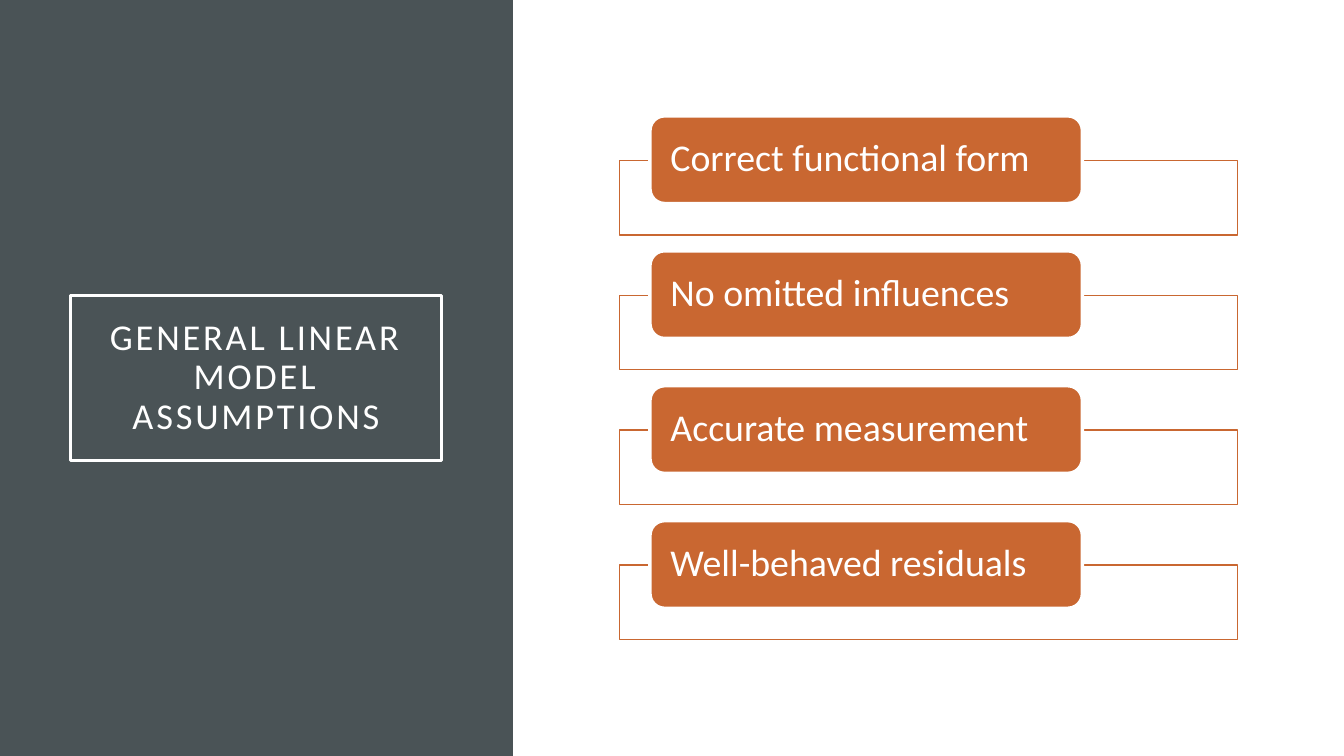
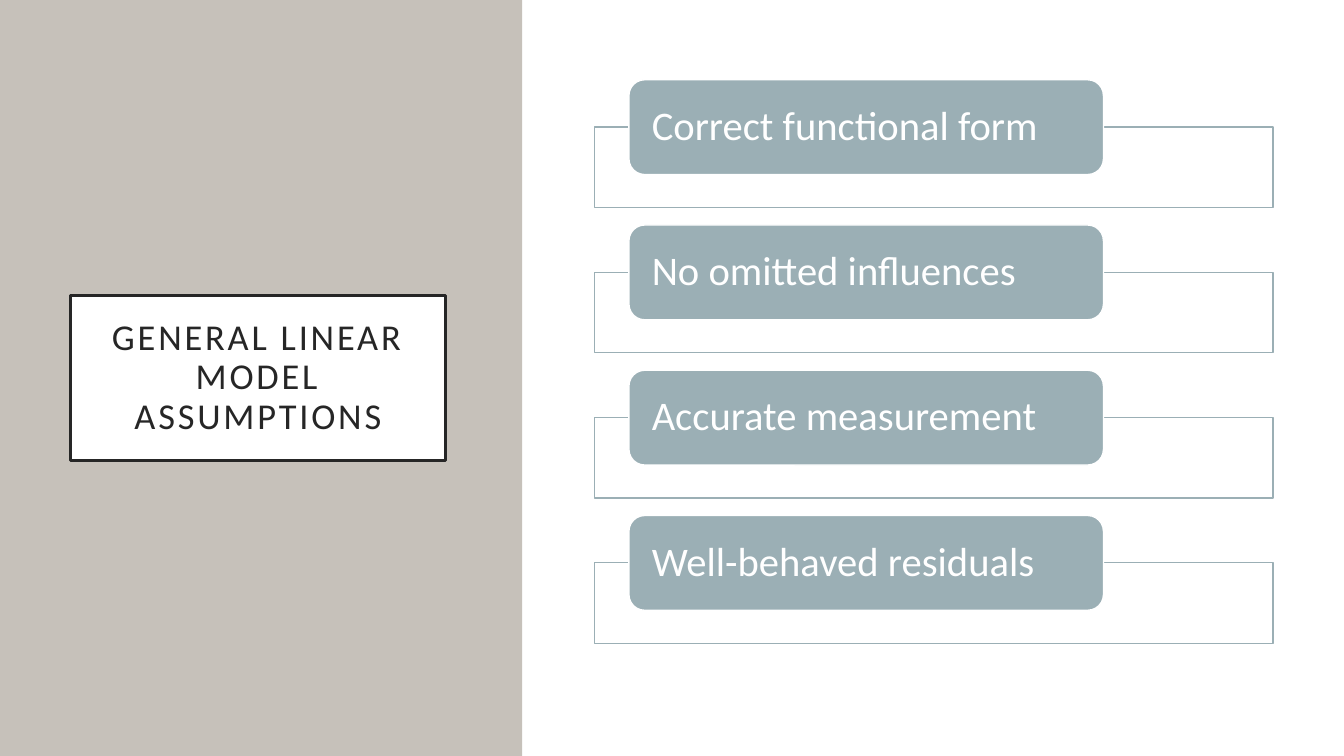
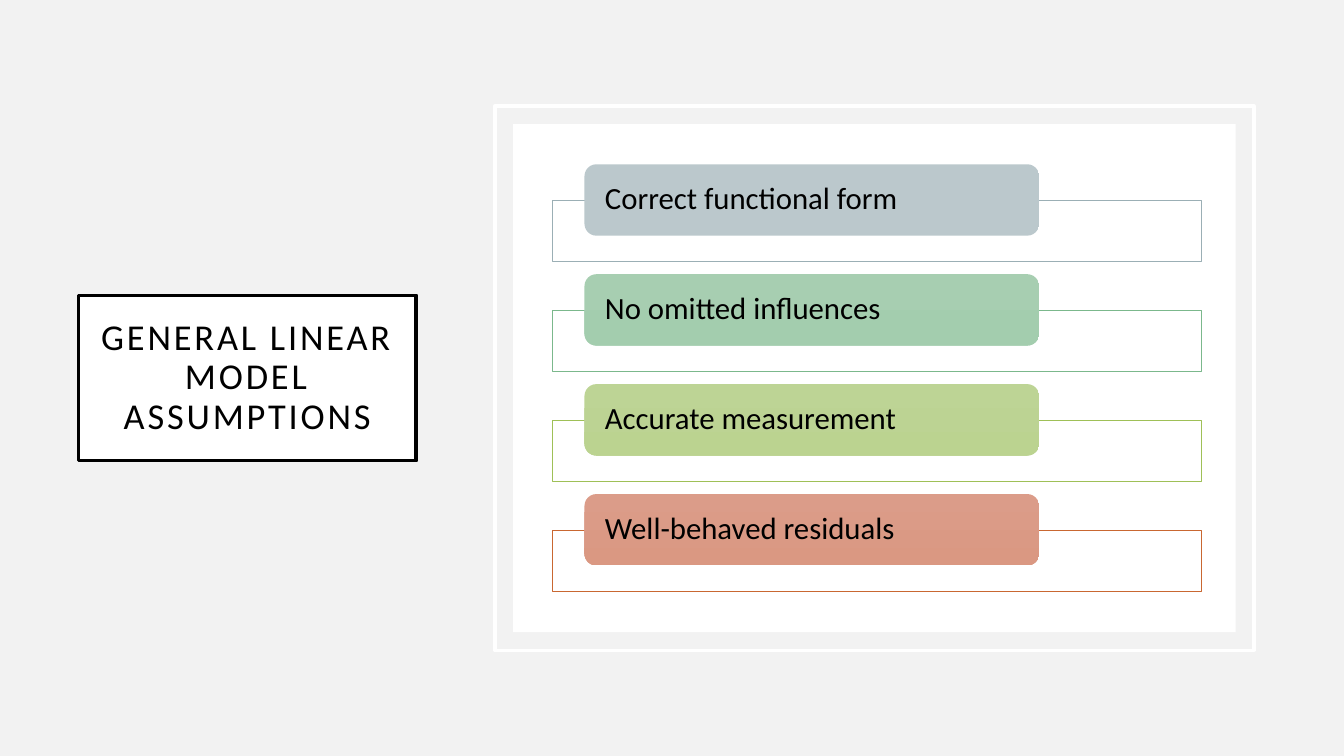
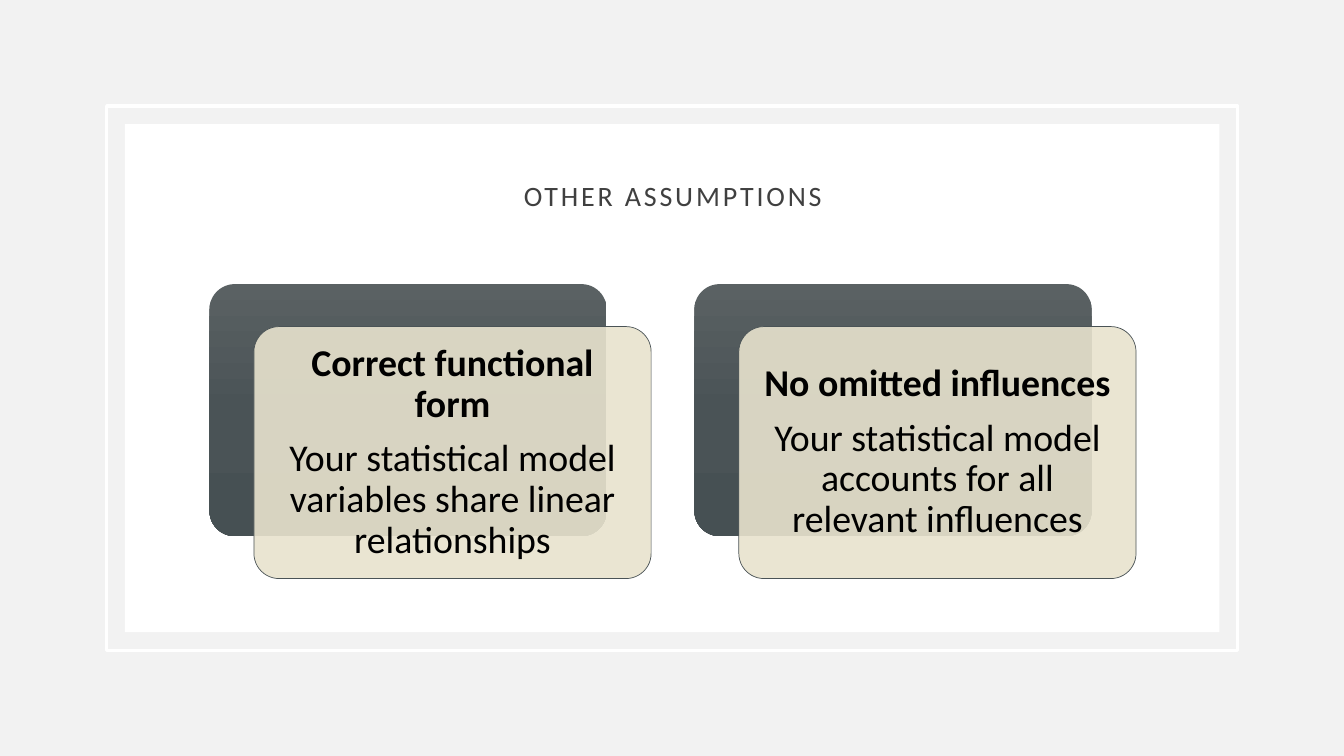
"""Build a four-slide deck on the assumptions of the general linear model."""
from dataclasses import dataclass

from lxml.etree import SubElement
from pptx import Presentation
from pptx.dml.color import RGBColor
from pptx.enum.shapes import MSO_SHAPE as Preset
from pptx.enum.text import MSO_ANCHOR as Anchor, MSO_AUTO_SIZE as AutoSize, PP_ALIGN as Align
from pptx.oxml.ns import qn
from pptx.util import Cm, Pt

FONT = "Calibri"
WHITE = RGBColor(0xFF, 0xFF, 0xFF)
BLACK = RGBColor(0x00, 0x00, 0x00)
INK = RGBColor(0x26, 0x26, 0x26)
GRAY = RGBColor(0x40, 0x40, 0x40)
PALE = RGBColor(0xF2, 0xF2, 0xF2)
SLATE = RGBColor(0x4A, 0x53, 0x56)
SLATE_LIGHT = RGBColor(0x5A, 0x61, 0x63)
SLATE_DARK = RGBColor(0x46, 0x50, 0x53)
STONE = RGBColor(0xC6, 0xC1, 0xBA)
CREAM = RGBColor(0xE8, 0xE3, 0xCE)
ORANGE = RGBColor(0xC9, 0x67, 0x31)
MIST = RGBColor(0x9B, 0xAF, 0xB5)
GREEN = RGBColor(0x7B, 0xB8, 0x8C)
LIME = RGBColor(0x9F, 0xC0, 0x57)
MIST_FADE = (RGBColor(0xBB, 0xC8, 0xCC), RGBColor(0xB8, 0xC6, 0xCB))
GREEN_FADE = (RGBColor(0xA7, 0xCE, 0xB1), RGBColor(0xA3, 0xCD, 0xAE))
LIME_FADE = (RGBColor(0xBD, 0xD4, 0x95), RGBColor(0xBB, 0xD3, 0x90))
ORANGE_FADE = (RGBColor(0xDB, 0x9C, 0x89), RGBColor(0xDA, 0x98, 0x82))
SLATE_FADE = (SLATE_LIGHT, SLATE, SLATE_DARK)

PAGE_WIDTH, PAGE_HEIGHT = 33.87, 19.05
PANEL_GAP = 0.46
HEADING = "GENERAL LINEAR MODEL ASSUMPTIONS"
ASSUMPTIONS = (
    "Correct functional form",
    "No omitted influences",
    "Accurate measurement",
    "Well-behaved residuals",
)
CARDS = (
    ("Correct functional form", "Your statistical model variables share linear relationships"),
    ("No omitted influences", "Your statistical model accounts for all relevant influences"),
)


@dataclass
class ListStyle:
    """Geometry in centimetres and looks of a list of labelled frames."""
    frame: tuple
    pill: tuple
    pitch: float
    inset: float
    size: int
    color: RGBColor
    frame_line: float
    pill_line: float


def set_line(shape, color, width):
    """Draw the outline, or hide it when there is no width."""
    if width:
        shape.line.color.rgb = color
        shape.line.width = Pt(width)
    else:
        shape.line.fill.background()


def set_gradient(shape, colors):
    """Fill the shape from top to bottom with evenly spaced colours."""
    shape.fill.gradient()
    shape.fill.gradient_angle = 270
    stops = shape.element.spPr.find(".//" + qn("a:gsLst"))
    stops.clear()
    for index, color in enumerate(colors):
        stop = SubElement(stops, qn("a:gs"), pos=str(100000 * index // (len(colors) - 1)))
        SubElement(stop, qn("a:srgbClr"), val=str(color))


def set_fill(shape, fill):
    """Apply no fill, one colour or a gradient."""
    if fill is None:
        shape.fill.background()
    elif isinstance(fill, RGBColor):
        shape.fill.solid()
        shape.fill.fore_color.rgb = fill
    else:
        set_gradient(shape, fill)


def set_opacity(shape, percent):
    """Make the solid fill of the shape partly transparent."""
    color = shape.element.spPr.find(qn("a:solidFill")).find(qn("a:srgbClr"))
    SubElement(color, qn("a:alpha"), val=str(percent * 1000))


def add_block(page, preset, place, fill, line=None, width=0):
    """Add a preset shape without a shadow."""
    shape = page.shapes.add_shape(preset, *map(Cm, place))
    shape.shadow.inherit = False
    set_fill(shape, fill)
    set_line(shape, line, width)
    return shape


def set_frame(shape, across, down):
    """Set wrapping, middle anchoring and insets of the text."""
    frame = shape.text_frame
    frame.word_wrap = True
    frame.auto_size = AutoSize.NONE
    frame.vertical_anchor = Anchor.MIDDLE
    frame.margin_left = frame.margin_right = Cm(across)
    frame.margin_top = frame.margin_bottom = Cm(down)
    return frame


def add_span(para, text, size, color, align, bold=False):
    """Add one formatted run to a paragraph."""
    para.alignment = align
    para.line_spacing = 0.9
    span = para.add_run()
    span.text = text
    span.font.name = FONT
    span.font.size = Pt(size)
    span.font.bold = bold
    span.font.color.rgb = color
    return span


def add_page(deck, color=WHITE):
    """Add a title-only slide with a plain background."""
    page = deck.slides.add_slide(deck.slide_layouts[5])
    page.background.fill.solid()
    page.background.fill.fore_color.rgb = color
    return page


def set_title(page, text, place, size, color, fill=None, outlined=True):
    """Place and format the title in front of the shapes drawn so far."""
    title = page.shapes.title
    title.element.getparent().append(title.element)
    title.left, title.top, title.width, title.height = map(Cm, place)
    set_fill(title, fill)
    set_line(title, color, 2.5 if outlined else 0)
    frame = set_frame(title, 0.51, 0.51)
    span = add_span(frame.paragraphs[0], text, size, color, Align.CENTER)
    span.font._element.set("spc", "200")


def set_side_title(page, left, width, color, fill=None):
    """Place the shared boxed heading at the left of the slide."""
    set_title(page, HEADING, (left, 7.44, width, 4.17), 26, color, fill)


def add_band(page, width, color):
    """Add a full-height band at the left edge."""
    add_block(page, Preset.RECTANGLE, (0, 0, width, PAGE_HEIGHT), color)


def add_panel(page, left, width):
    """Add a white panel inside a thin white border."""
    top, height = 2.67, 13.72
    inner = (left + PANEL_GAP, top + PANEL_GAP, width - 2 * PANEL_GAP, height - 2 * PANEL_GAP)
    add_block(page, Preset.RECTANGLE, inner, WHITE)
    add_block(page, Preset.RECTANGLE, (left, top, width, height), None, WHITE, 2.5)


def add_list(page, style, looks):
    """Add each assumption as a pill on an outlined frame."""
    for index, (text, (line, fill)) in enumerate(zip(ASSUMPTIONS, looks)):
        frame, pill = (
            (left, top + index * style.pitch, width, height)
            for left, top, width, height in (style.frame, style.pill)
        )
        add_block(page, Preset.RECTANGLE, frame, WHITE, line, style.frame_line)
        label = add_block(page, Preset.ROUNDED_RECTANGLE, pill, fill, WHITE, style.pill_line)
        para = set_frame(label, style.inset, 0).paragraphs[0]
        add_span(para, text, style.size, style.color, Align.LEFT)


def add_card(page, left, heading, body):
    """Add a cream text card over a dark backing card."""
    top, width, height = 7.16, 10.01, 6.35
    back = add_block(page, Preset.ROUNDED_RECTANGLE, (left, top, width, height), SLATE_FADE)
    front_place = (left + 1.12, top + 1.07, width, height)
    front = add_block(page, Preset.ROUNDED_RECTANGLE, front_place, CREAM, SLATE, 0.5)
    set_opacity(front, 90)
    for card in (back, front):
        card.adjustments[0] = 0.1
    frame = set_frame(front, 0.28, 0.28)
    for para, text, bold in (
        (frame.paragraphs[0], heading, True),
        (frame.add_paragraph(), body, False),
    ):
        para.space_after = Pt(9.5)
        add_span(para, text, 27, BLACK, Align.CENTER, bold)


def build_orange_page(deck):
    """Build the list with orange pills beside a dark band."""
    page = add_page(deck)
    add_band(page, 12.93, SLATE)
    set_side_title(page, 1.78, 9.35, WHITE)
    style = ListStyle((15.62, 4.04, 15.57, 1.88), (16.38, 2.92, 10.9, 2.21),
                      3.4, 0.41, 27, WHITE, 1, 2.5)
    add_list(page, style, [(ORANGE, ORANGE)] * len(ASSUMPTIONS))


def build_mist_page(deck):
    """Build the list with blue-grey pills beside a stone band."""
    page = add_page(deck)
    add_band(page, 13.16, STONE)
    set_side_title(page, 1.78, 9.45, INK, WHITE)
    style = ListStyle((14.99, 3.2, 17.09, 2.03), (15.85, 2.01, 11.96, 2.39),
                      3.66, 0.46, 29, WHITE, 1, 1)
    add_list(page, style, [(MIST, MIST)] * len(ASSUMPTIONS))


def build_colorful_page(deck):
    """Build the list with one colour per assumption on a panel."""
    page = add_page(deck, PALE)
    set_side_title(page, 1.98, 8.51, BLACK, WHITE)
    add_panel(page, 12.47, 19.13)
    style = ListStyle((13.92, 5.05, 16.36, 1.55), (14.73, 4.14, 11.46, 1.8),
                      2.77, 0.43, 22, BLACK, 0.5, 0)
    looks = ((MIST, MIST_FADE), (GREEN, GREEN_FADE), (LIME, LIME_FADE), (ORANGE, ORANGE_FADE))
    add_list(page, style, looks)


def build_cards_page(deck):
    """Build the two explained assumptions as cards."""
    page = add_page(deck, PALE)
    add_panel(page, 2.69, 28.5)
    set_title(page, "OTHER ASSUMPTIONS", (4.98, 3.68, 23.95, 2.57), 20, GRAY, outlined=False)
    for index, (heading, body) in enumerate(CARDS):
        add_card(page, 5.28 + index * 12.22, heading, body)


def main():
    """Build and save the deck."""
    deck = Presentation()
    deck.slide_width, deck.slide_height = Cm(PAGE_WIDTH), Cm(PAGE_HEIGHT)
    build_orange_page(deck)
    build_mist_page(deck)
    build_colorful_page(deck)
    build_cards_page(deck)
    deck.save("out.pptx")


if __name__ == "__main__":
    main()
